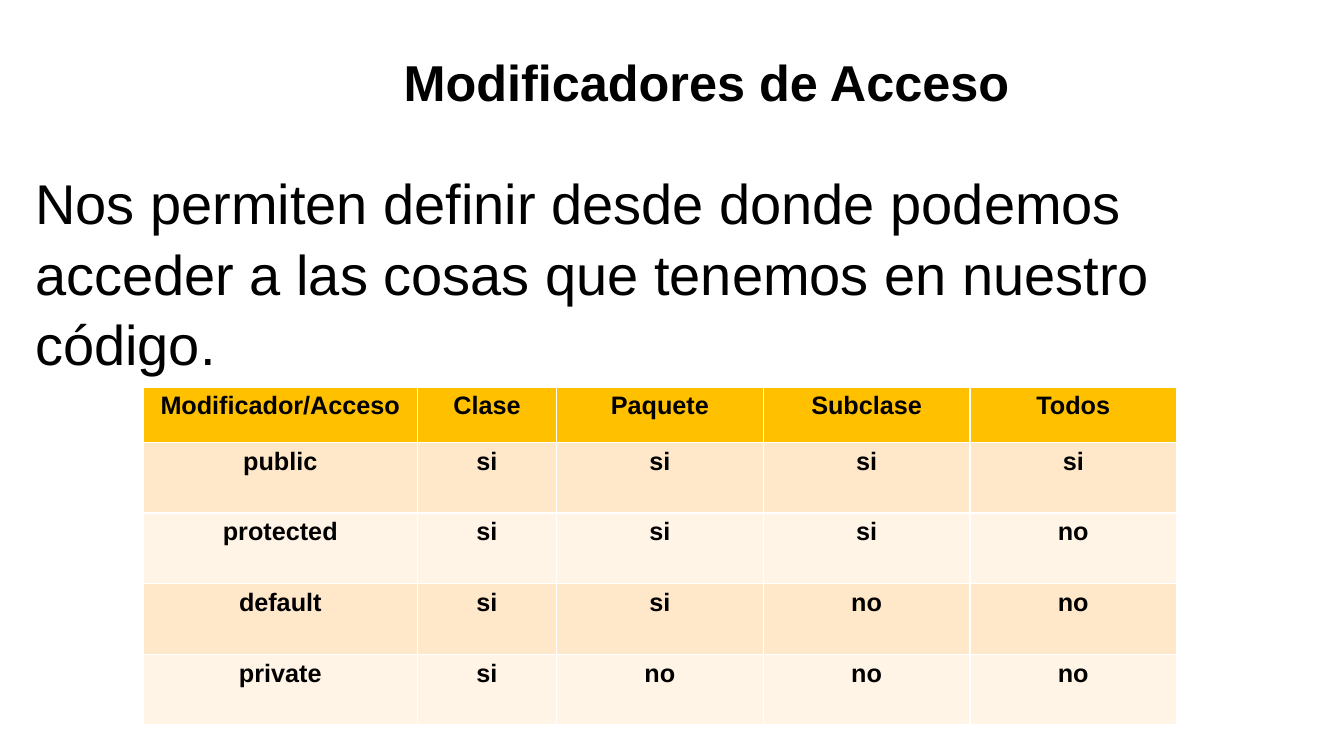
import pptx
import pptx.dml.color
import pptx.enum.text
import pptx.util

PX = 9144  # one px is a hundredth of an inch

BLACK = pptx.dml.color.RGBColor(0x00, 0x00, 0x00)
AMBER = pptx.dml.color.RGBColor(0xFF, 0xC0, 0x00)
PEACH = pptx.dml.color.RGBColor(0xFF, 0xE8, 0xCA)
CREAM = pptx.dml.color.RGBColor(0xFF, 0xF4, 0xE6)

CENTER = pptx.enum.text.PP_ALIGN.CENTER
LEFT = pptx.enum.text.PP_ALIGN.LEFT

COLUMN_WIDTHS = [272, 138, 205, 205, 205]
ROW_HEIGHTS = [55, 70, 70, 70, 70]
ACCESS_ROWS = [
    ["Modificador/Acceso", "Clase", "Paquete", "Subclase", "Todos"],
    ["public", "si", "si", "si", "si"],
    ["protected", "si", "si", "si", "no"],
    ["default", "si", "si", "no", "no"],
    ["private", "si", "no", "no", "no"],
]


def emu(*lengths):
    return [pptx.util.Emu(length * PX) for length in lengths]


def write(frame, text, size, bold, align):
    """Put one formatted paragraph in a text frame and return it."""
    frame.text = text
    para = frame.paragraphs[0]
    para.alignment = align
    for span in para.runs:
        span.font.name = "Arial"
        span.font.size = pptx.util.Pt(size)
        span.font.bold = bold
        span.font.color.rgb = BLACK
    return para


def fit_frame(frame):
    frame.word_wrap = True
    frame.auto_size = pptx.enum.text.MSO_AUTO_SIZE.SHAPE_TO_FIT_TEXT
    frame.vertical_anchor = pptx.enum.text.MSO_ANCHOR.TOP


def place_title(page, left, top, width, height):
    title = page.shapes.title
    title.left, title.top, title.width, title.height = emu(left, top, width, height)
    fit_frame(title.text_frame)
    # A wide left margin moves the centred title to the right
    title.text_frame.margin_left = emu(79)[0]
    write(title.text_frame, "Modificadores de Acceso", 36, True, CENTER)


def add_intro(page, left, top, width, height):
    box = page.shapes.add_textbox(*emu(left, top, width, height))
    fit_frame(box.text_frame)
    para = write(
        box.text_frame,
        "Nos permiten definir desde donde podemos acceder a las cosas "
        "que tenemos en nuestro código.",
        40, False, LEFT,
    )
    para.line_spacing = 1.05


def add_access_table(page, left, top):
    size = (sum(COLUMN_WIDTHS), sum(ROW_HEIGHTS))
    # The default table style supplies the white cell borders
    table = page.shapes.add_table(
        len(ACCESS_ROWS), len(COLUMN_WIDTHS), *emu(left, top, *size)
    ).table
    for column, width in zip(table.columns, emu(*COLUMN_WIDTHS)):
        column.width = width
    for row, height in zip(table.rows, emu(*ROW_HEIGHTS)):
        row.height = height

    for row_index, words in enumerate(ACCESS_ROWS):
        band = PEACH if row_index % 2 else CREAM
        for column_index, word in enumerate(words):
            cell = table.cell(row_index, column_index)
            cell.fill.solid()
            cell.fill.fore_color.rgb = band if row_index else AMBER
            write(cell.text_frame, word, 18, True, CENTER)


def build_access_page(deck):
    page = deck.slides.add_slide(deck.slide_layouts.get_by_name("Title Only"))
    place_title(page, 0, 46, 1333, 71)
    add_intro(page, 25, 159, 1287, 212)
    add_access_table(page, 142, 384)


def main():
    deck = pptx.Presentation()
    deck.slide_width, deck.slide_height = emu(1333, 750)
    build_access_page(deck)
    deck.save("out.pptx")


if __name__ == "__main__":
    main()
